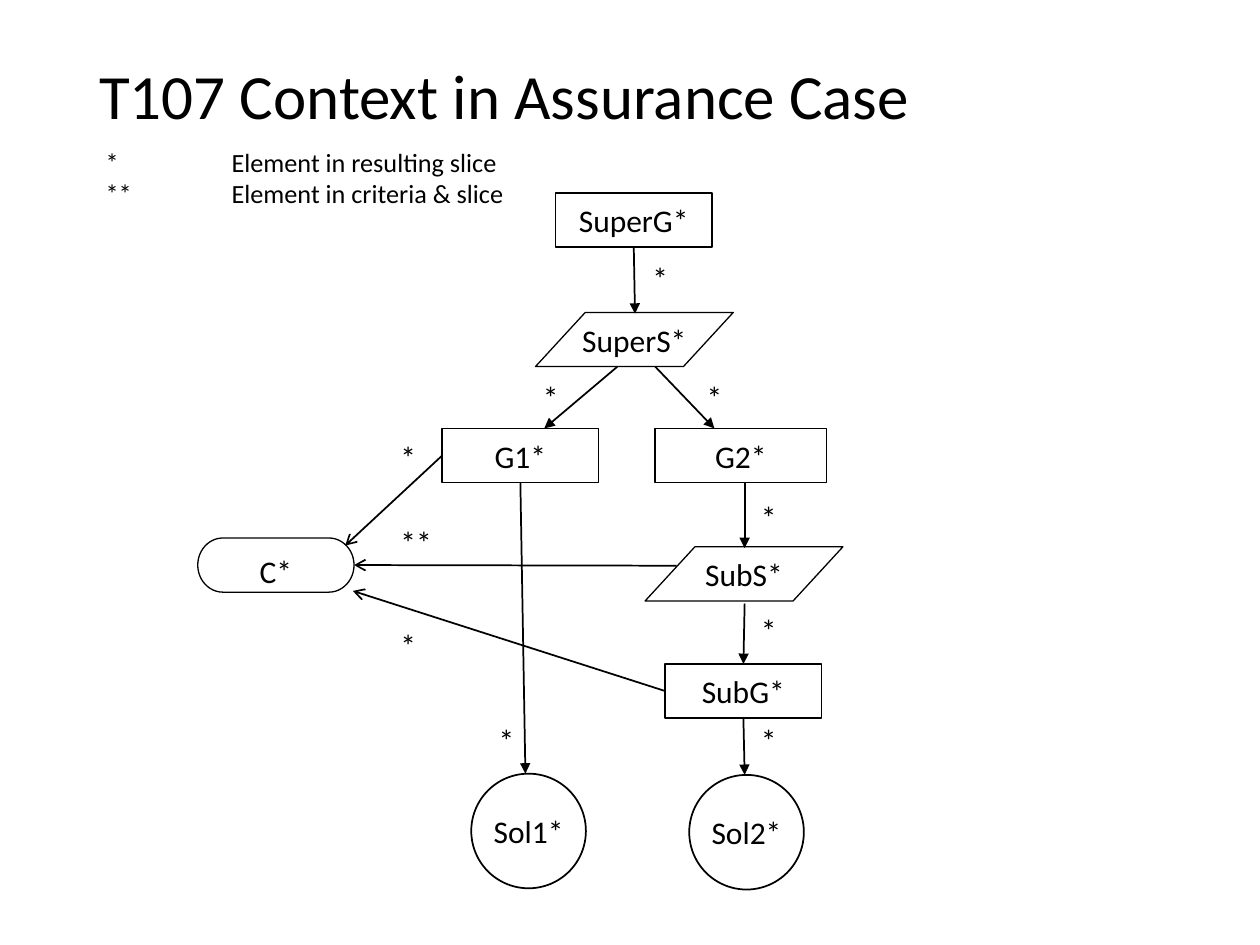
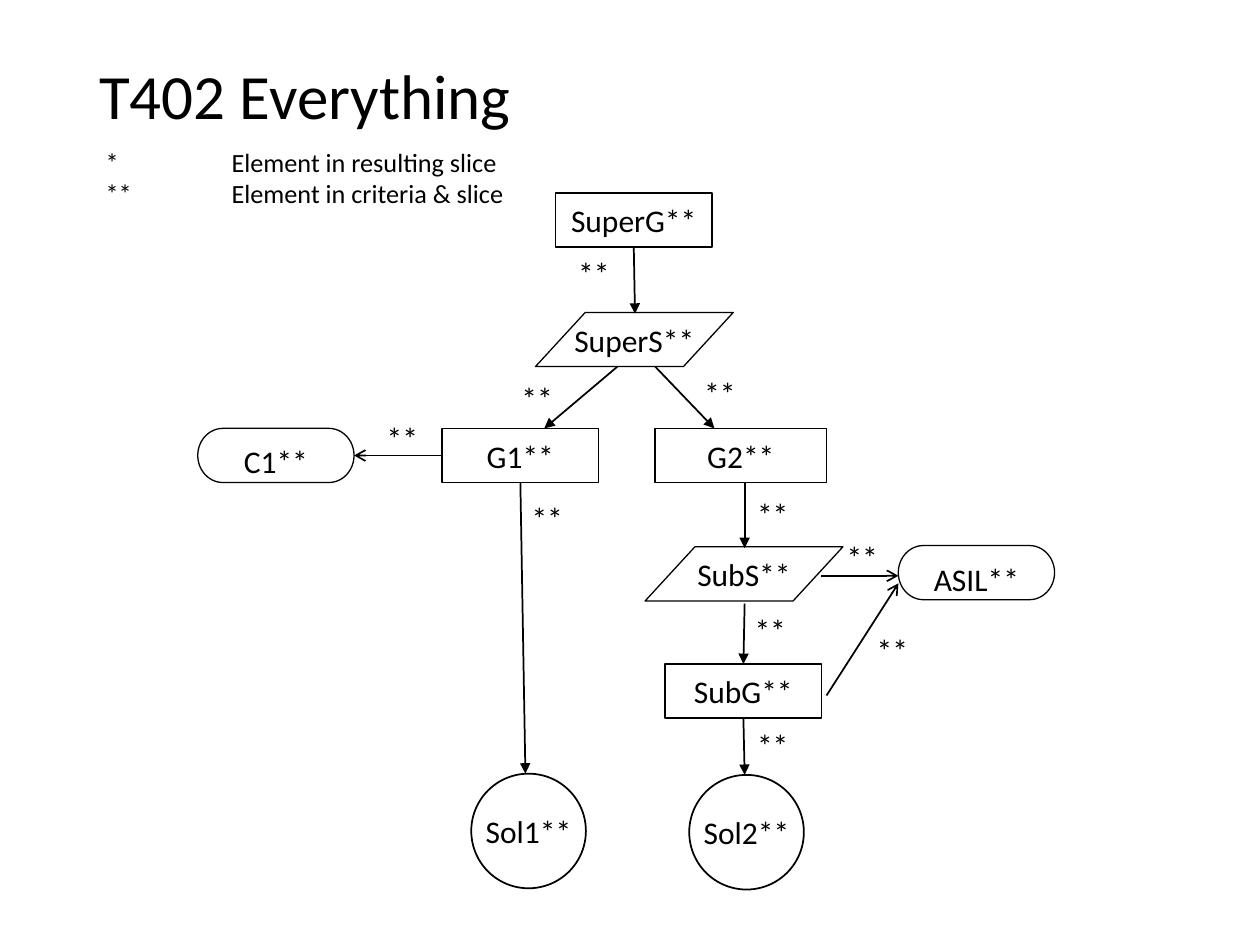
from typing import NamedTuple, Optional, Union

from lxml import etree
from pptx import Presentation
from pptx import util as u
from pptx.dml.color import RGBColor
from pptx.enum import shapes, text
from pptx.oxml.ns import qn

COLOURS = {"ink": "000000", "paper": "FFFFFF"}
FONT = "Calibri"
TITLE_SIZE, LEGEND_SIZE, BODY_SIZE = 36, 15, 18

# The slide is a grid of 100 columns and 75 rows
SLIDE_W, SLIDE_H = u.Inches(10), u.Inches(7.5)
COLUMN, ROW = SLIDE_W // 100, SLIDE_H // 75

TOP, LEFT, BOTTOM, RIGHT = range(4)
LEGEND = "*\tElement in resulting slice\n**\tElement in criteria & slice"
LEGEND_TAB = 10


class Kind(NamedTuple):
    preset: shapes.MSO_SHAPE
    width: float
    height: float
    line: float
    wrap: bool = True
    anchor: text.MSO_ANCHOR = text.MSO_ANCHOR.MIDDLE
    slant: Optional[float] = None


class Node(NamedTuple):
    name: str
    kind: Kind
    col: float
    row: float


class Point(NamedTuple):
    col: float
    row: float


class Side(NamedTuple):
    node: str
    site: int


End = Union[Point, Side]


class Link(NamedTuple):
    start: End
    end: End
    head: str = "triangle"


class Label(NamedTuple):
    col: float
    row: float
    mark: Optional[str] = None


class Case(NamedTuple):
    title: str
    mark: str
    contexts: list[Node]
    context_links: list[Link]
    labels: list[Label]


# Kinds of element in the assurance case
GOAL = Kind(shapes.MSO_SHAPE.RECTANGLE, 12.4, 4.3, 0.94)
WIDE_GOAL = GOAL._replace(width=13.6)
STRATEGY = Kind(shapes.MSO_SHAPE.PARALLELOGRAM, 15.7, 4.3, 0.75, wrap=False, slant=0.92)
SOLUTION = Kind(shapes.MSO_SHAPE.OVAL, 9.1, 9.1, 1, wrap=False)
CONTEXT = Kind(shapes.MSO_SHAPE.FLOWCHART_TERMINATOR, 12.4, 4.3, 0.75,
               anchor=text.MSO_ANCHOR.TOP)

# The tree that both cases share
TREE = [
    Node("SuperG", GOAL, 44.1, 15.3),
    Node("SuperS", STRATEGY, 42.5, 24.8),
    Node("G1", GOAL, 35.1, 34),
    Node("G2", WIDE_GOAL, 52, 34),
    Node("SubS", STRATEGY, 51.2, 43.4),
    Node("SubG", GOAL, 52.8, 52.7),
    Node("Sol1", SOLUTION, 37.4, 61.4),
    Node("Sol2", SOLUTION, 54.7, 61.5),
]
TREE_LINKS = [
    Link(Side("SuperG", BOTTOM), Point(50.4, 24.9)),
    Link(Point(49, 29.1), Point(43.2, 34)),
    Link(Point(52, 29.1), Point(56.7, 34)),
    Link(Side("G1", BOTTOM), Point(41.7, 61.4)),
    Link(Point(59.1, 38.3), Point(59.1, 43.5)),
    Link(Point(59.1, 47.9), Side("SubG", TOP)),
    Link(Side("SubG", BOTTOM), Point(59.1, 61.5)),
]

CASES = [
    Case(
        "T107 Context in Assurance Case", "*",
        [Node("C", CONTEXT, 15.7, 42.7)],
        [
            Link(Side("G1", LEFT), Point(27.4, 43.3), "arrow"),
            Link(Point(53.7, 44.9), Side("C", RIGHT), "arrow"),
            Link(Side("SubG", LEFT), Point(28, 46.9), "arrow"),
        ],
        [
            Label(50.8, 20.1), Label(42.1, 29.5), Label(55.1, 29.5),
            Label(30.8, 34.3), Label(30.8, 41, "**"), Label(30.8, 49.2),
            Label(59.4, 39), Label(59.4, 48), Label(59.4, 56.7), Label(38.6, 56.7),
        ],
    ),
    Case(
        "T402 Everything", "**",
        [Node("C1", CONTEXT, 15.7, 34), Node("ASIL", CONTEXT, 71.3, 43.3)],
        [
            Link(Side("G1", LEFT), Side("C1", RIGHT), "arrow"),
            Link(Point(65.2, 45.7), Point(71.3, 45.7), "arrow"),
            Link(Point(65.6, 55.2), Point(71.3, 46.3), "arrow"),
        ],
        [
            Label(44.9, 19.7), Label(40.4, 29.6), Label(54.9, 29.2),
            Label(29.7, 32.8), Label(41.2, 39.1), Label(59.1, 38.8),
            Label(66.2, 42.2), Label(58.9, 48), Label(68.6, 49.6), Label(59.1, 57.1),
        ],
    ),
]


def cols(count: float) -> int:
    return round(count * COLUMN)


def rows(count: float) -> int:
    return round(count * ROW)


def colour(name: str) -> RGBColor:
    return RGBColor.from_string(COLOURS[name])


def write(frame, words: str, size: float, wrap: bool = True,
          anchor=text.MSO_ANCHOR.TOP, align=text.PP_ALIGN.LEFT) -> None:
    """Put styled text in a frame."""
    frame.text = words
    frame.word_wrap = wrap
    frame.vertical_anchor = anchor
    for paragraph in frame.paragraphs:
        paragraph.alignment = align
        for run in paragraph.runs:
            run.font.name = FONT
            run.font.size = u.Pt(size)
            run.font.color.rgb = colour("ink")


def add_words(slide, col: float, row: float, width: float, height: float,
              words: str, size: float, **style):
    box = slide.shapes.add_textbox(cols(col), rows(row), cols(width), rows(height))
    write(box.text_frame, words, size, **style)
    return box.text_frame


def add_heading(slide, title: str) -> None:
    """Title and the legend below it."""
    legend = add_words(slide, 7.4, 11.1, 41.4, 6.2, LEGEND, LEGEND_SIZE)
    for entry in legend.paragraphs:
        tabs = etree.SubElement(entry._p.get_or_add_pPr(), qn("a:tabLst"))
        etree.SubElement(tabs, qn("a:tab"), pos=str(cols(LEGEND_TAB)), algn="l")
    heading = add_words(slide, 6.9, 4, 86.3, 7.8, title, TITLE_SIZE,
                        anchor=text.MSO_ANCHOR.MIDDLE)
    heading.paragraphs[0].line_spacing = 0.9


def add_node(slide, node: Node, mark: str):
    kind = node.kind
    element = slide.shapes.add_shape(kind.preset, cols(node.col), rows(node.row),
                                     cols(kind.width), rows(kind.height))
    element.shadow.inherit = False
    if kind.slant is not None:
        element.adjustments[0] = kind.slant
    element.fill.solid()
    element.fill.fore_color.rgb = colour("paper")
    element.line.color.rgb = colour("ink")
    element.line.width = u.Pt(kind.line)
    write(element.text_frame, node.name + mark, BODY_SIZE, kind.wrap, kind.anchor,
          text.PP_ALIGN.CENTER)
    return element


def add_link(slide, link: Link, elements: dict) -> None:
    """Arrow between two ends, joined wherever an end is a node's side."""
    corners = [(cols(end.col), rows(end.row)) if isinstance(end, Point) else (0, 0)
               for end in (link.start, link.end)]
    arrow = slide.shapes.add_connector(shapes.MSO_CONNECTOR.STRAIGHT,
                                       *corners[0], *corners[1])
    for end, join in ((link.start, arrow.begin_connect), (link.end, arrow.end_connect)):
        if isinstance(end, Side):
            join(elements[end.node], end.site)
    arrow.line.color.rgb = colour("ink")
    arrow.line.width = u.Pt(1)
    etree.SubElement(arrow.line._get_or_add_ln(), qn("a:tailEnd"), type=link.head)
    etree.SubElement(arrow._element.spPr, qn("a:effectLst"))


def add_case(deck, case: Case) -> None:
    slide = deck.slides.add_slide(deck.slide_layouts[6])
    add_heading(slide, case.title)
    elements = {node.name: add_node(slide, node, case.mark)
                for node in TREE + case.contexts}
    for link in TREE_LINKS + case.context_links:
        add_link(slide, link, elements)
    for label in case.labels:
        mark = label.mark or case.mark
        add_words(slide, label.col, label.row, 1.6 + 1.6 * len(mark), 4, mark, BODY_SIZE)


def main() -> None:
    deck = Presentation()
    deck.slide_width, deck.slide_height = SLIDE_W, SLIDE_H
    for case in CASES:
        add_case(deck, case)
    deck.save("out.pptx")


if __name__ == "__main__":
    main()
